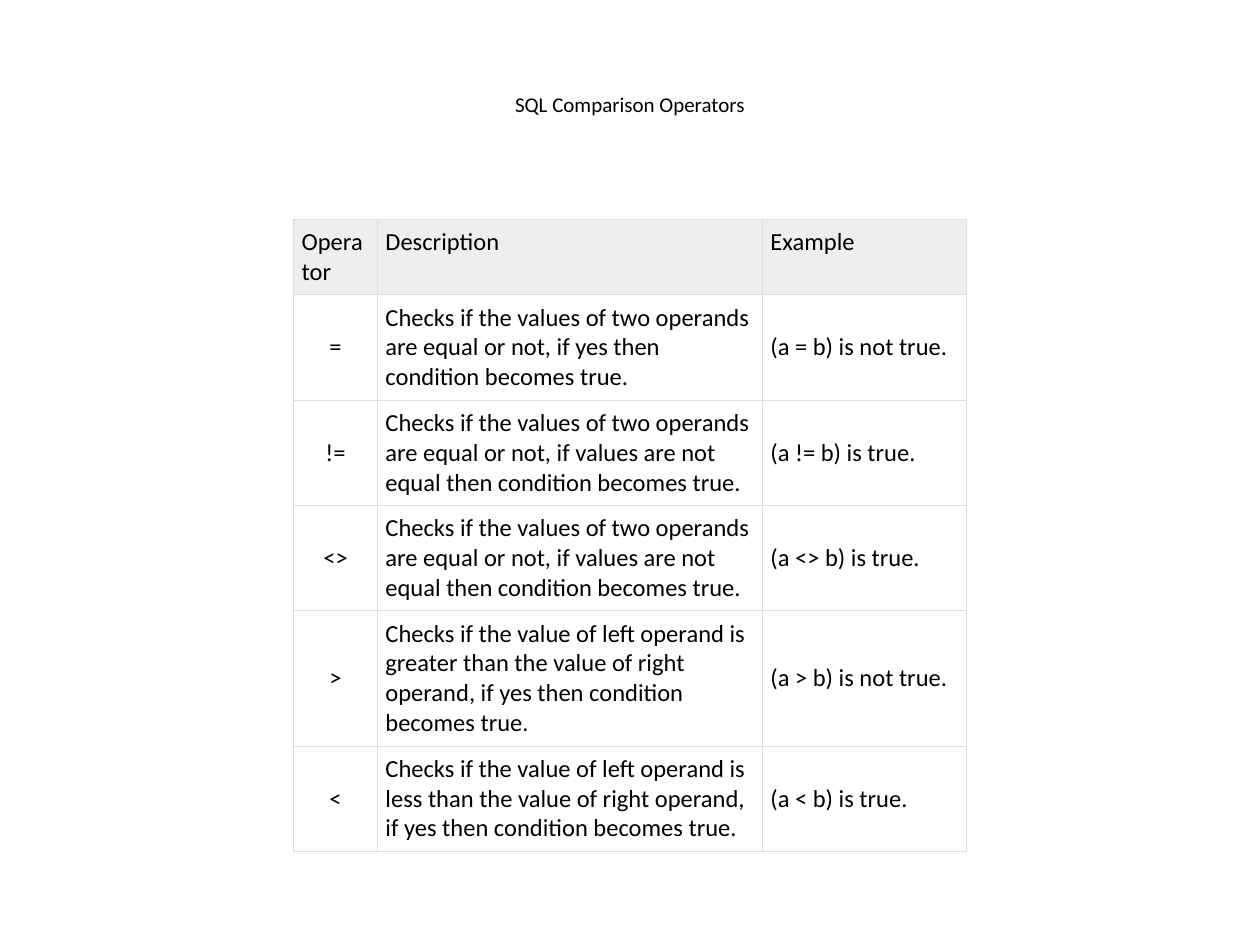
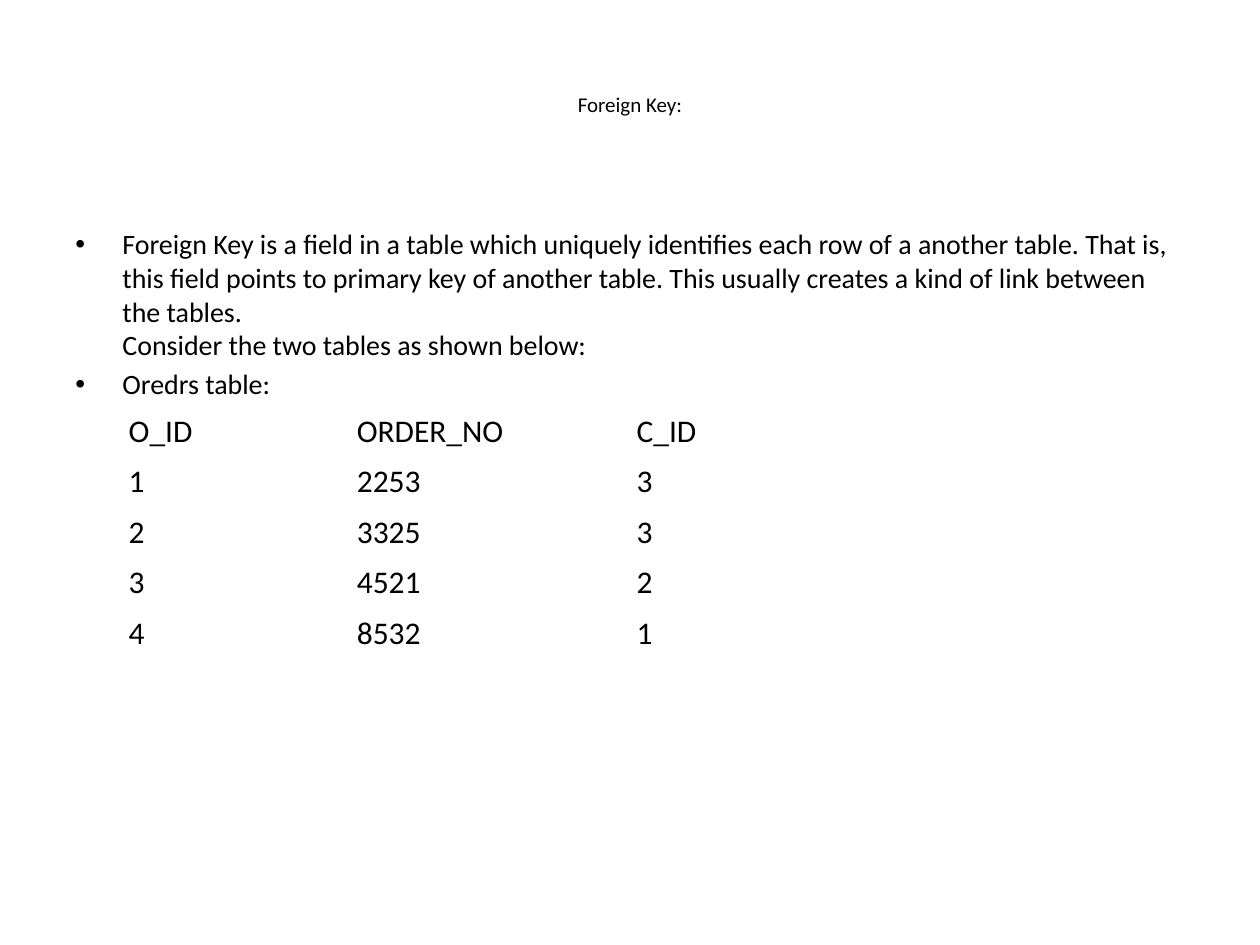
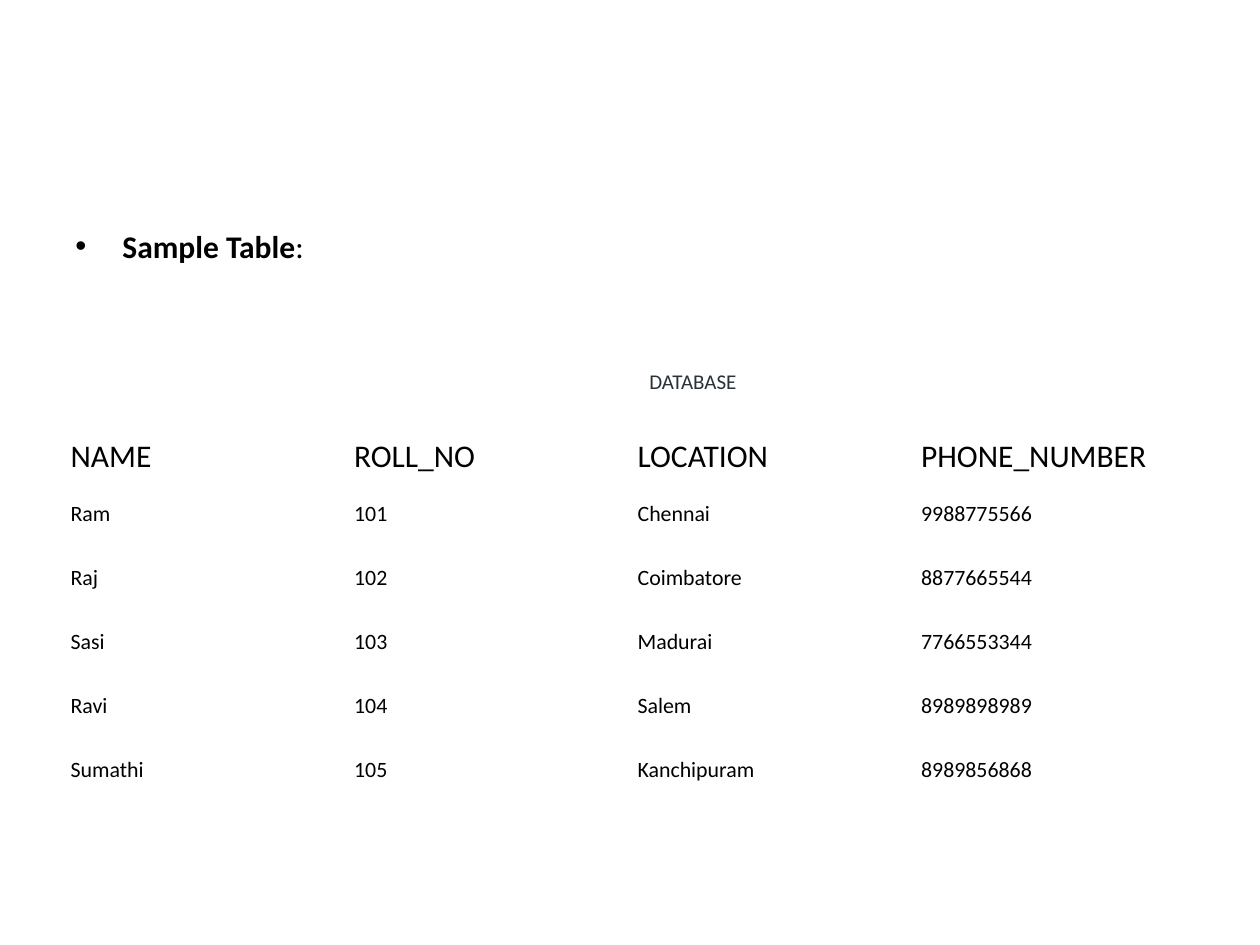
from dataclasses import dataclass

from lxml import etree
from pptx import Presentation
from pptx.dml.color import RGBColor
from pptx.enum.text import MSO_ANCHOR, MSO_AUTO_SIZE, PP_ALIGN
from pptx.oxml.ns import qn
from pptx.util import Cm, Pt

TOP, MIDDLE = MSO_ANCHOR.TOP, MSO_ANCHOR.MIDDLE
LEFT, CENTER = PP_ALIGN.LEFT, PP_ALIGN.CENTER
NO_AUTOFIT = MSO_AUTO_SIZE.NONE
TITLE_ONLY, BLANK = 5, 6


@dataclass(frozen=True)
class Theme:
    font: str = "Calibri"
    ink: str = "000000"
    caption_ink: str = "273239"
    paper: str = "FFFFFF"
    header_fill: str = "EEEEEE"
    rule: str = "DDDDDD"
    rule_width: float = 0.75
    title_size: float = 12
    body_size: float = 16
    table_size: float = 18
    operator_size: float = 14
    record_size: float = 12.5


@dataclass(frozen=True)
class Box:
    left: float
    top: float
    width: float
    height: float

    def lengths(self):
        return Cm(self.left), Cm(self.top), Cm(self.width), Cm(self.height)


THEME = Theme()
TITLE_BOX = Box(1.27, 0.76, 22.86, 3.18)
BODY_BOX = Box(1.27, 4.45, 22.86, 12.57)

EQUAL_TEXT = "Checks if the values of two operands are equal or not, if {} then condition becomes true."
ORDER_TEXT = "Checks if the value of left operand is {} than the value of right operand, if yes then condition becomes true."
OPERATORS = [
    ("Operator", "Description", "Example"),
    ("=", EQUAL_TEXT.format("yes"), "(a = b) is not true."),
    ("!=", EQUAL_TEXT.format("values are not equal"), "(a != b) is true."),
    ("<>", EQUAL_TEXT.format("values are not equal"), "(a <> b) is true."),
    (">", ORDER_TEXT.format("greater"), "(a > b) is not true."),
    ("<", ORDER_TEXT.format("less"), "(a < b) is true."),
]
ORDERS = [
    ("O_ID", "ORDER_NO", "C_ID"),
    ("1", "2253", "3"),
    ("2", "3325", "3"),
    ("3", "4521", "2"),
    ("4", "8532", "1"),
]
STUDENTS = [
    ("NAME", "ROLL_NO", "LOCATION", "PHONE_NUMBER"),
    ("Ram", "101", "Chennai", "9988775566"),
    ("Raj", "102", "Coimbatore", "8877665544"),
    ("Sasi", "103", "Madurai", "7766553344"),
    ("Ravi", "104", "Salem", "8989898989"),
    ("Sumathi", "105", "Kanchipuram", "8989856868"),
]
FOREIGN_KEY_POINTS = [
    [
        ("Foreign Key is a field in a table which uniquely identifies each row of a another table. "
         "That is, this field points to primary key of another table. "
         "This usually creates a kind of link between the tables.", False),
        ("\n", False),
        ("Consider the two tables as shown below:", False),
    ],
    [("Oredrs table:", False)],
]
SAMPLE_POINTS = [[("Sample Table", True), (":", False)]]


def add_run(paragraph, text, size, color=THEME.ink, bold=False):
    run = paragraph.add_run()
    run.text = text
    run.font.name = THEME.font
    run.font.size = Pt(size)
    run.font.bold = bold
    run.font.color.rgb = RGBColor.from_string(color)


def add_bullet(paragraph):
    properties = paragraph._p.get_or_add_pPr()
    properties.set("marL", str(Cm(0.95)))
    properties.set("indent", str(-Cm(0.95)))
    etree.SubElement(properties, qn("a:buFont")).set("typeface", "Arial")
    etree.SubElement(properties, qn("a:buChar")).set("char", "•")


def add_borders(cell):
    properties = cell._tc.get_or_add_tcPr()
    for side in ("lnL", "lnR", "lnT", "lnB"):
        line = etree.SubElement(properties, qn(f"a:{side}"), w=str(Pt(THEME.rule_width)))
        fill = etree.SubElement(line, qn("a:solidFill"))
        etree.SubElement(fill, qn("a:srgbClr"), val=THEME.rule)


def set_title(slide, text, box):
    title = slide.shapes.title
    title.left, title.top, title.width, title.height = box.lengths()
    frame = title.text_frame
    frame.auto_size = NO_AUTOFIT
    frame.word_wrap = True
    frame.vertical_anchor = MIDDLE
    frame.margin_bottom = Cm(0.64)
    heading = frame.paragraphs[0]
    heading.alignment = CENTER
    add_run(heading, text, THEME.title_size)


def add_points(slide, box, points, size):
    frame = slide.shapes.add_textbox(*box.lengths()).text_frame
    frame.word_wrap = True
    for index, parts in enumerate(points):
        point = frame.add_paragraph() if index else frame.paragraphs[0]
        add_bullet(point)
        if index:
            point.space_before = Pt(size * 0.2)
        for text, bold in parts:
            if text == "\n":
                point.add_line_break()
            else:
                add_run(point, text, size, bold=bold)


def add_caption(slide, box, text):
    frame = slide.shapes.add_textbox(*box.lengths()).text_frame
    frame.word_wrap = True
    frame.vertical_anchor = MIDDLE
    caption = frame.paragraphs[0]
    caption.alignment = CENTER
    add_run(caption, text, THEME.title_size, THEME.caption_ink)


def add_grid(slide, box, records, widths, heights, style_cell):
    table = slide.shapes.add_table(len(records), len(widths), *box.lengths()).table
    table.first_row = False
    table.horz_banding = False
    for column, width in zip(table.columns, widths):
        column.width = Cm(width)
    for row, height in zip(table.rows, heights):
        row.height = Cm(height)
    for row_index, record in enumerate(records):
        for column_index, text in enumerate(record):
            cell = table.cell(row_index, column_index)
            cell.vertical_anchor = MIDDLE
            size = style_cell(cell, row_index, column_index)
            add_run(cell.text_frame.paragraphs[0], text, size)


def fill_cell(cell, color):
    cell.fill.solid()
    cell.fill.fore_color.rgb = RGBColor.from_string(color)


def style_operator(cell, row, column):
    add_borders(cell)
    cell.margin_left = cell.margin_right = Cm(0.16)
    cell.margin_top = cell.margin_bottom = Cm(0.16)
    if row == 0:
        fill_cell(cell, THEME.header_fill)
    else:
        cell.fill.background()
    if row == 0 or column == 1:
        cell.vertical_anchor = TOP
    cell.text_frame.paragraphs[0].alignment = CENTER if row and column == 0 else LEFT
    return THEME.operator_size


def style_order(cell, row, column):
    cell.fill.background()
    return THEME.table_size


def style_student(cell, row, column):
    fill_cell(cell, THEME.paper)
    if row == 0:
        return THEME.table_size
    cell.margin_top = cell.margin_bottom = Cm(0.38)
    return THEME.record_size


def build_operators(slide):
    set_title(slide, "SQL Comparison Operators", TITLE_BOX)
    box = Box(5.92, 4.42, 13.56, 12.57)
    heights = [1.5, 2.1, 2.1, 2.1, 2.69, 2.1]
    add_grid(slide, box, OPERATORS, [1.69, 7.76, 4.11], heights, style_operator)


def build_foreign_key(slide):
    set_title(slide, "Foreign Key:", TITLE_BOX)
    add_points(slide, BODY_BOX, FOREIGN_KEY_POINTS, THEME.body_size)
    box = Box(2.34, 8.18, 15.88, 5.1)
    heights = [box.height / len(ORDERS)] * len(ORDERS)
    add_grid(slide, box, ORDERS, [4.6, 5.64, 5.64], heights, style_order)


def build_sample(slide):
    add_points(slide, BODY_BOX, SAMPLE_POINTS, THEME.table_size)
    box = Box(1.17, 8.69, 22.86, 7.42)
    header_height = 1.02
    record_count = len(STUDENTS) - 1
    heights = [header_height] + [(box.height - header_height) / record_count] * record_count
    columns = len(STUDENTS[0])
    add_grid(slide, box, STUDENTS, [box.width / columns] * columns, heights, style_student)
    add_caption(slide, Box(2.54, 7.04, 22.86, 1.27), "DATABASE")


def main():
    deck = Presentation()
    deck.slide_width, deck.slide_height = Cm(25.4), Cm(19.05)
    pages = [(TITLE_ONLY, build_operators), (TITLE_ONLY, build_foreign_key), (BLANK, build_sample)]
    for layout, build in pages:
        build(deck.slides.add_slide(deck.slide_layouts[layout]))
    deck.save("out.pptx")


if __name__ == "__main__":
    main()
